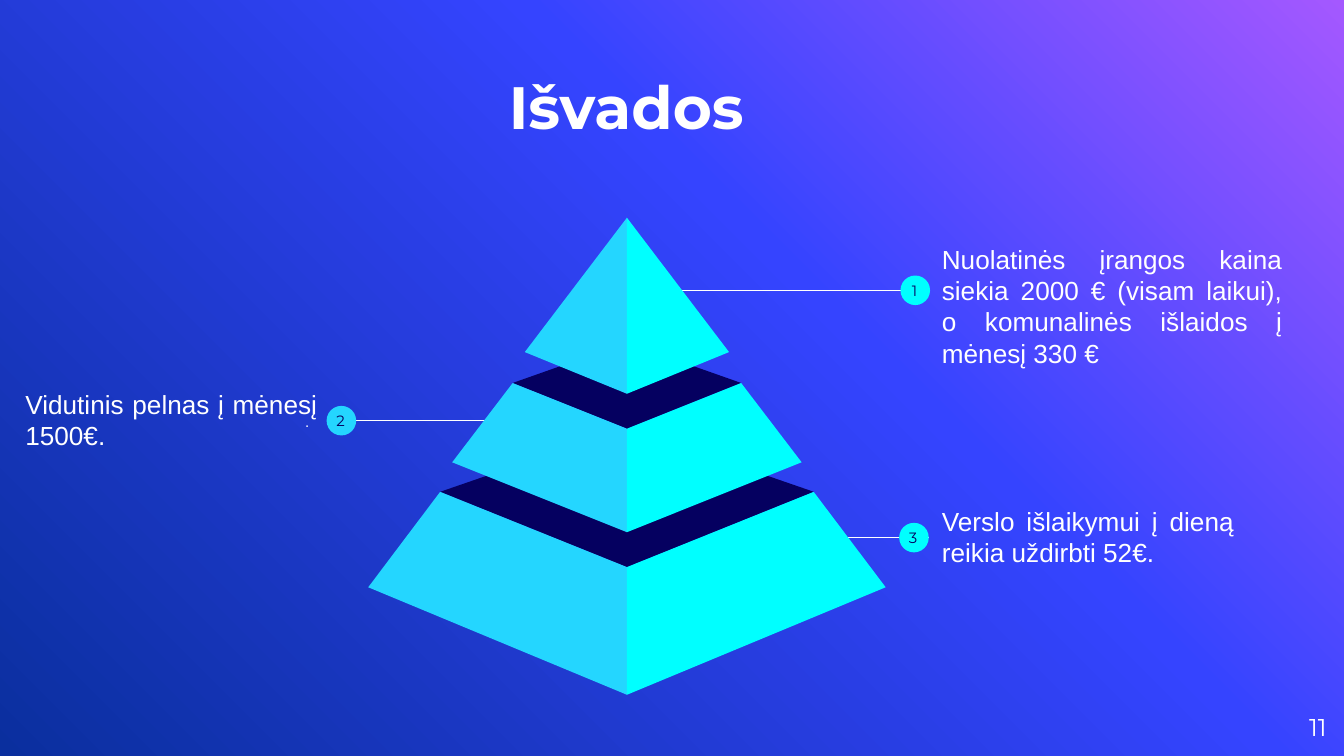
from copy import deepcopy
from dataclasses import dataclass

from pptx import Presentation
from pptx import util as u
from pptx.dml.color import RGBColor
from pptx.enum import shapes, text
from pptx.oxml import ns


@dataclass(frozen=True)
class Theme:
    """Colours, fonts and type sizes of the slide."""
    white: str = "FFFFFF"
    navy: str = "050060"
    sky: str = "24D6FF"
    cyan: str = "00FFFF"
    gradient: tuple = ((0, "A458FF"), (0.39, "3544FF"), (1, "0A2F9E"))
    heading: str = "Montserrat"
    body: str = "Arial"
    title_size: int = 32
    body_size: int = 14
    number_size: int = 13
    badge_size: int = 8


THEME = Theme()
ALIGN = text.PP_ALIGN
ANCHOR = text.MSO_ANCHOR


def apply(target, values):
    """Set each attribute of a target from a dict."""
    for name, value in values.items():
        setattr(target, name, value)


def rgb(colour):
    """Turn a hex string into a colour."""
    return RGBColor.from_string(colour)


def add_text(parent, box, words, font, size, align, colour=THEME.white, bold=False,
             insets=(0, 0), spacing=None, **frame_format):
    """Add a wrapped text box with one formatted paragraph."""
    shape = parent.add_textbox(*map(u.Inches, box))
    frame = shape.text_frame
    side, edge = map(u.Inches, insets)
    apply(frame, {"word_wrap": True, "margin_left": side, "margin_right": side,
                  "margin_top": edge, "margin_bottom": edge, **frame_format})
    paragraph = frame.paragraphs[0]
    apply(paragraph, {"alignment": align, **(spacing or {})})
    run = paragraph.add_run()
    run.text = words
    apply(run.font, {"name": font, "size": u.Pt(size), "bold": bold})
    run.font.color.rgb = rgb(colour)


def paint(shape, colour):
    """Give a shape a plain fill without line or shadow."""
    shape.shadow.inherit = False
    shape.fill.solid()
    shape.fill.fore_color.rgb = rgb(colour)
    shape.line.fill.background()


def add_background(slide):
    """Fill the background with the diagonal gradient."""
    fill = slide.background.fill
    fill.gradient()
    fill.gradient_angle = 225
    stop_list = slide.element.find(".//" + ns.qn("a:gsLst"))
    stop_list.append(deepcopy(stop_list[0]))
    for stop, (position, colour) in zip(fill.gradient_stops, THEME.gradient):
        stop.position = position
        stop.color.rgb = rgb(colour)


def add_marker(parent, box, number, colour, line_start, line_end):
    """Add a leader line and a numbered badge in the given box."""
    left, top, width, height = box
    middle = top + height / 2
    line = parent.add_connector(
        shapes.MSO_CONNECTOR.STRAIGHT,
        *map(u.Inches, (line_start, middle, line_end, middle)))
    line.line.color.rgb = rgb(THEME.white)
    line.line.width = u.Pt(0.75)
    properties = line.element.spPr
    properties.append(properties.makeelement(ns.qn("a:effectLst"), {}))
    badge = parent.add_shape(shapes.MSO_SHAPE.OVAL, *map(u.Inches, box))
    paint(badge, colour)
    add_text(parent, (left - 0.03, top - 0.06, 0.27, 0.34), number, THEME.heading,
             THEME.badge_size, ALIGN.CENTER, THEME.navy, insets=(0.1, 0.1),
             spacing={"line_spacing": 1.2, "space_after": u.Pt(16)})


def add_polygon(parent, points, colour):
    """Add a closed filled outline through points in inches."""
    start, *others = [tuple(map(u.Inches, point)) for point in points]
    builder = parent.build_freeform(*start, scale=1.0)
    builder.add_line_segments(others, close=True)
    paint(builder.convert_to_shape(), colour)


def add_pyramid(parent, box):
    """Add three stacked tiers, from the base up, in the given box."""
    left, top, width, height = box
    centre = left + width / 2
    tiers = (
        {"back": 1.56, "shoulder": (1.39, 2.04), "front": 2.6,
         "foot": (width / 2, 2.75), "tip": height},
        {"back": 0.93, "shoulder": (0.85, 1.23), "front": 1.57,
         "foot": (1.3, 1.82), "tip": 2.34},
        {"back": 0, "shoulder": (0, 0), "front": 0, "foot": (0.76, 1), "tip": 1.31},
    )
    for tier in tiers:
        half, shoulder = tier["shoulder"]
        if half:
            lid = ((-half, shoulder), (0, tier["front"]), (half, shoulder), (0, tier["back"]))
            add_polygon(parent, [(centre + x, top + y) for x, y in lid], THEME.navy)
        face = ((half, shoulder), tier["foot"], (0, tier["tip"]), (0, tier["front"]))
        for side, colour in ((-1, THEME.sky), (1, THEME.cyan)):
            add_polygon(parent, [(centre + side * x, top + y) for x, y in face], colour)


def add_conclusion(parent, box, words):
    """Add a justified conclusion in the given box."""
    add_text(parent, box, words, THEME.body, THEME.body_size, ALIGN.JUSTIFY,
             insets=(0.1, 0.05), auto_size=text.MSO_AUTO_SIZE.SHAPE_TO_FIT_TEXT)


def build_slide(presentation):
    """Add the conclusions slide."""
    slide = presentation.slides.add_slide(presentation.slide_layouts[6])
    add_background(slide)
    add_text(slide.shapes, (1.37, 0.11, 6.58, 0.94), "Išvados", THEME.heading,
             THEME.title_size, ALIGN.CENTER, bold=True, vertical_anchor=ANCHOR.BOTTOM)
    add_text(slide.shapes, (9.27, 5.19, 0.6, 0.43), "11", THEME.heading,
             THEME.number_size, ALIGN.RIGHT, vertical_anchor=ANCHOR.MIDDLE)
    add_text(slide.shapes, (0.36, 2.38, 2.04, 1.51), ".", THEME.body, THEME.badge_size,
             ALIGN.RIGHT, insets=(0.1, 0.1), vertical_anchor=ANCHOR.MIDDLE)
    markers = (
        ("3", 6.69, 3.89, THEME.cyan, 6.27, 6.91),
        ("2", 2.43, 3.02, THEME.sky, 3.64, 2.5),
        ("1", 6.7, 2.05, THEME.cyan, 5.03, 6.91),
    )
    for number, left, top, colour, start, end in markers:
        group = slide.shapes.add_group_shape()
        add_marker(group.shapes, (left, top, 0.22, 0.22), number, colour, start, end)
    pyramid = slide.shapes.add_group_shape()
    add_pyramid(pyramid.shapes, (2.74, 1.62, 3.85, 3.55))
    conclusions = (
        ((6.91, 3.71, 2.37, 0.57), "Verslo išlaikymui į dieną reikia uždirbti 52€."),
        ((0.09, 2.84, 2.37, 0.57), "Vidutinis pelnas į mėnesį 1500€."),
        ((6.91, 1.76, 2.73, 1.04), "Nuolatinės įrangos kaina siekia 2000 € (visam laikui), "
                                   "o komunalinės išlaidos į mėnesį 330 €"),
    )
    for box, words in conclusions:
        add_conclusion(slide.shapes, box, words)


def main():
    """Build and save the presentation."""
    presentation = Presentation()
    width = u.Inches(10)
    apply(presentation, {"slide_width": width, "slide_height": width * 9 // 16})
    build_slide(presentation)
    presentation.save("out.pptx")


if __name__ == "__main__":
    main()
